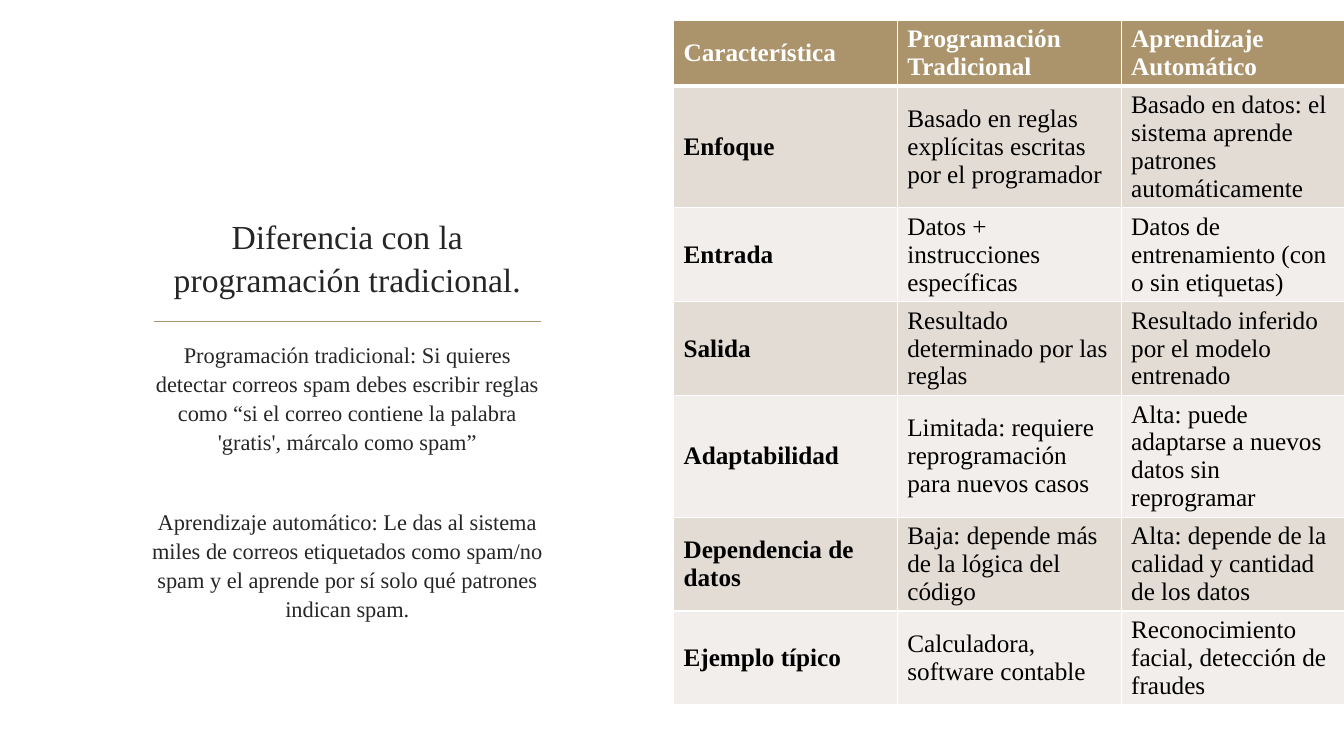
from lxml import etree
from pptx import Presentation
from pptx.dml.color import RGBColor
from pptx.enum.shapes import MSO_CONNECTOR
from pptx.enum.text import MSO_ANCHOR, MSO_AUTO_SIZE, PP_ALIGN
from pptx.oxml.ns import qn
from pptx.util import Pt

PX = 9144
FONT = "Times New Roman"
LEFT, CENTER = PP_ALIGN.LEFT, PP_ALIGN.CENTER
MIDDLE, BOTTOM, TOP = MSO_ANCHOR.MIDDLE, MSO_ANCHOR.BOTTOM, MSO_ANCHOR.TOP
STRAIGHT = MSO_CONNECTOR.STRAIGHT
NO_FIT = MSO_AUTO_SIZE.NONE
COLORS = {
    "gold": "AB946B",
    "ink": "262626",
    "black": "000000",
    "white": "FFFFFF",
    "band_dark": "E2DCD4",
    "band_light": "F1EEEB",
}


def write(p, text, size, color, bold=False, align=LEFT, spacing=1.0, before=0, after=0):
    p.alignment = align
    p.line_spacing = spacing
    p.space_before, p.space_after = Pt(before), Pt(after)
    r = p.add_run()
    r.text = text
    r.font.name, r.font.size, r.font.bold = FONT, Pt(size), bold
    r.font.color.rgb = RGBColor.from_string(COLORS[color])


def add_border(cell, side, width):
    ln = etree.SubElement(cell._tc.get_or_add_tcPr(), qn(f"a:{side}"), w=str(Pt(width)))
    fill = etree.SubElement(ln, qn("a:solidFill"))
    etree.SubElement(fill, qn("a:srgbClr"), val=COLORS["white"])


prs = Presentation()
prs.slide_width, prs.slide_height = 1333 * PX, 750 * PX
s = prs.slides.add_slide(prs.slide_layouts[5])

rule = s.shapes.add_connector(STRAIGHT, 153 * PX, 319 * PX, 537 * PX, 319 * PX)
rule.line.color.rgb = RGBColor.from_string(COLORS["gold"])
rule.line.width = Pt(1.25)
etree.SubElement(rule._element.spPr, qn("a:effectLst"))

title = s.shapes.title
title.left, title.top, title.width, title.height = 141 * PX, 152 * PX, 407 * PX, 150 * PX
tf = title.text_frame
tf.word_wrap, tf.auto_size, tf.vertical_anchor = True, NO_FIT, BOTTOM
write(tf.paragraphs[0], "Diferencia con la programación tradicional.", 24, "ink",
      align=CENTER, spacing=1.08)

body = s.shapes.add_textbox(141 * PX, 331 * PX, 407 * PX, 267 * PX)
tf = body.text_frame
tf.word_wrap, tf.auto_size, tf.vertical_anchor = True, NO_FIT, TOP
write(tf.paragraphs[0],
      "Programación tradicional: Si quieres detectar correos spam debes escribir reglas "
      "como “si el correo contiene la palabra 'gratis', márcalo como spam”",
      16, "ink", align=CENTER, spacing=1.08, after=6)
write(tf.add_paragraph(),
      "Aprendizaje automático: Le das al sistema miles de correos etiquetados como "
      "spam/no spam y el aprende por sí solo qué patrones indican spam.",
      16, "ink", align=CENTER, spacing=1.08, before=31, after=6)

ROWS = [
    ("Característica", "Programación Tradicional", "Aprendizaje Automático"),
    ("Enfoque", "Basado en reglas explícitas escritas por el programador",
     "Basado en datos: el sistema aprende patrones automáticamente"),
    ("Entrada", "Datos + instrucciones específicas",
     "Datos de entrenamiento (con o sin etiquetas)"),
    ("Salida", "Resultado determinado por las reglas",
     "Resultado inferido por el modelo entrenado"),
    ("Adaptabilidad", "Limitada: requiere reprogramación para nuevos casos",
     "Alta: puede adaptarse a nuevos datos sin reprogramar"),
    ("Dependencia de datos", "Baja: depende más de la lógica del código",
     "Alta: depende de la calidad y cantidad de los datos"),
    ("Ejemplo típico", "Calculadora, software contable",
     "Reconocimiento facial, detección de fraudes"),
]
HEIGHTS = [64, 120, 93, 93, 120, 93, 93]

table = s.shapes.add_table(len(ROWS), 3, 668 * PX, 20 * PX, 666 * PX, sum(HEIGHTS) * PX).table
for column in table.columns:
    column.width = 222 * PX
for i, (texts, height) in enumerate(zip(ROWS, HEIGHTS)):
    table.rows[i].height = height * PX
    header = i == 0
    band = "gold" if header else "band_dark" if i % 2 else "band_light"
    for j, text in enumerate(texts):
        cell = table.cell(i, j)
        cell.vertical_anchor = MIDDLE
        add_border(cell, "lnL", 1)
        add_border(cell, "lnR", 1)
        add_border(cell, "lnT", 3 if i == 1 else 1)
        add_border(cell, "lnB", 3 if header else 1)
        cell.fill.solid()
        cell.fill.fore_color.rgb = RGBColor.from_string(COLORS[band])
        write(cell.text_frame.paragraphs[0], text, 18, "white" if header else "black",
              bold=header or j == 0)

prs.save("out.pptx")
